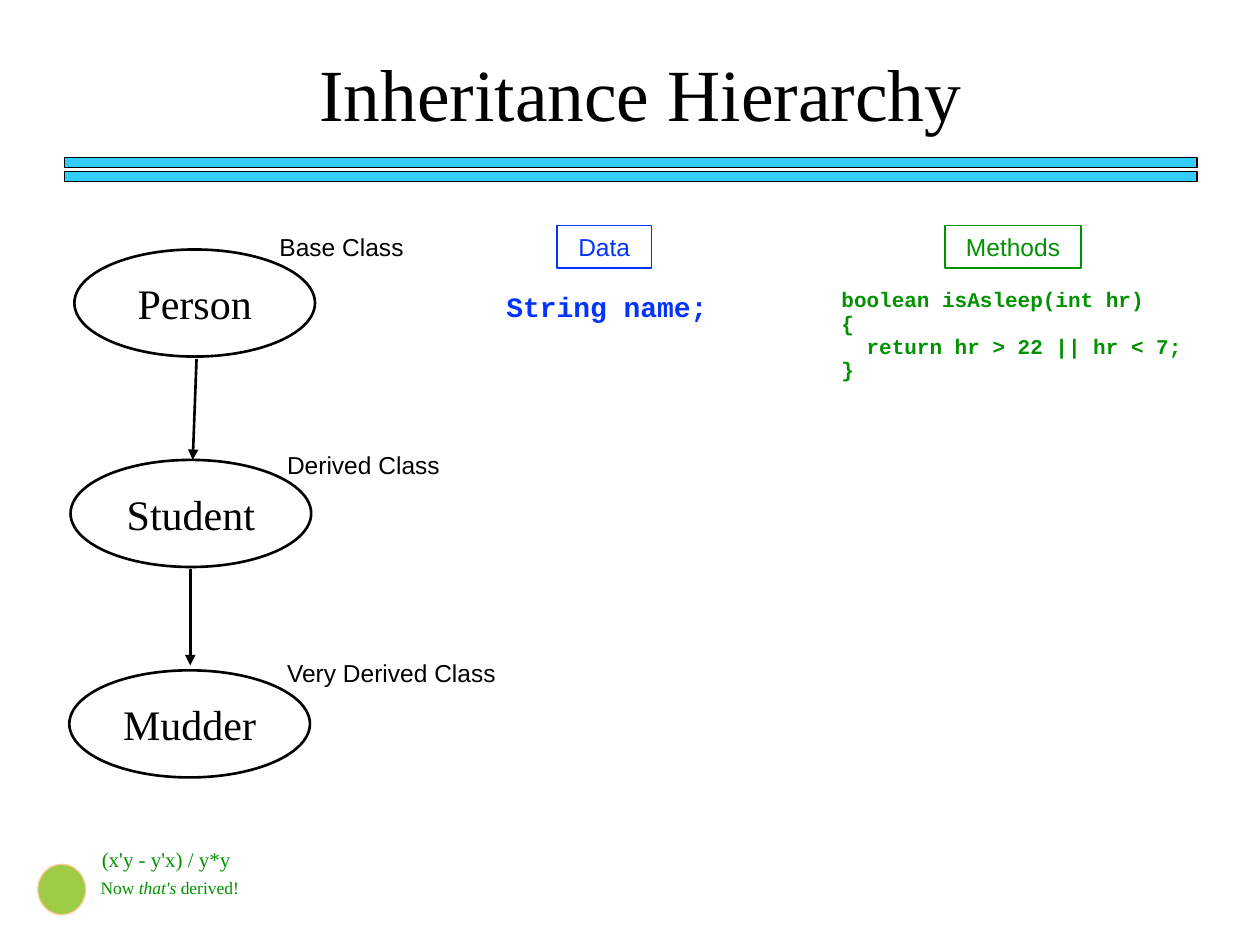
from dataclasses import dataclass

from lxml.etree import SubElement
from pptx import Presentation
from pptx.dml.color import RGBColor
from pptx.enum.shapes import MSO_CONNECTOR, MSO_SHAPE
from pptx.enum.text import MSO_ANCHOR, MSO_AUTO_SIZE, PP_ALIGN
from pptx.oxml.ns import qn
from pptx.util import Inches, Pt

BLACK, BLUE, GREEN, SKY, LIME = "000000", "0333FF", "009200", "33CCFF", "9ECC46"
SERIF, SANS, MONO = "Times New Roman", "Arial", "Courier New"


@dataclass
class Style:
    font: str
    size: float
    color: str = BLACK
    bold: bool = False
    center: bool = False
    pitch: float = 1
    gap: float = 0


@dataclass
class Level:
    name: str
    left: float
    role: str
    side: float
    top: float
    width: float


@dataclass
class Note:
    text: str
    box: tuple
    style: Style
    edge: bool = False


@dataclass
class Arrow:
    start: tuple
    end: tuple


NODE = Style(SERIF, 24, center=True)
ROLE = Style(SANS, 14)
CODE = Style(MONO, 12, GREEN, bold=True, pitch=0.4, gap=7.5)
BODY = "boolean isAsleep(int hr)\n{\n  return hr > 22 || hr < 7;\n}"

LEVELS = [
    Level("Person", 0.59, "Base Class", 2.12, 1.79, 1.94),
    Level("Student", 0.56, "Derived Class", 2.18, 3.52, 1.94),
    Level("Mudder", 0.55, "Very Derived Class", 2.18, 5.17, 2.32),
]
ARROWS = [
    Arrow((1.56, 2.85), (1.53, 3.65)),
    Arrow((1.51, 4.52), (1.51, 5.28)),
]
NOTES = [
    Note("Inheritance Hierarchy", (0.83, 0.33, 8.51, 0.8), Style(SERIF, 42, center=True)),
    Note("Data", (4.42, 1.79, 0.75, 0.34), Style(SANS, 14, BLUE, center=True), True),
    Note("Methods", (7.5, 1.79, 1.08, 0.34), Style(SANS, 14, GREEN, center=True), True),
    Note("String name;", (3.92, 2.25, 2.25, 0.37), Style(MONO, 16, BLUE, bold=True)),
    Note(BODY, (6.58, 2.33, 3.17, 0.74), CODE),
    Note("(x'y - y'x) / y*y", (0.71, 6.67, 1.83, 0.3), Style(SERIF, 12, GREEN)),
]


def tint(code: str) -> RGBColor:
    return RGBColor.from_string(code)


def write(frame, text: str, style: Style) -> None:
    for index, line in enumerate(text.split("\n")):
        para = frame.paragraphs[0] if index == 0 else frame.add_paragraph()
        if line:
            para.add_run().text = line
        para.alignment = PP_ALIGN.CENTER if style.center else PP_ALIGN.LEFT
        para.line_spacing = style.pitch
        para.space_before = Pt(style.gap if index else 0)
        para.font.name = style.font
        para.font.size = Pt(style.size)
        para.font.bold = style.bold
        para.font.color.rgb = tint(style.color)


def draw_shape(slide, kind, box: tuple, fill="", line=BLACK, width=0.75):
    shape = slide.shapes.add_shape(kind, *map(Inches, box))
    shape.shadow.inherit = False
    if fill:
        shape.fill.solid()
        shape.fill.fore_color.rgb = tint(fill)
    else:
        shape.fill.background()
    shape.line.color.rgb = tint(line)
    shape.line.width = Pt(width)
    return shape


def draw_note(slide, note: Note):
    if note.edge:
        shape = draw_shape(slide, MSO_SHAPE.RECTANGLE, note.box, line=note.style.color, width=1)
    else:
        shape = slide.shapes.add_textbox(*map(Inches, note.box))
    frame = shape.text_frame
    frame.word_wrap = True
    frame.auto_size = MSO_AUTO_SIZE.SHAPE_TO_FIT_TEXT
    frame.vertical_anchor = MSO_ANCHOR.TOP
    write(frame, note.text, note.style)
    return frame


def draw_level(slide, level: Level, top: float) -> None:
    box = (level.left, top, 1.91, 0.85)
    node = draw_shape(slide, MSO_SHAPE.OVAL, box, width=1.5)
    node.text_frame.word_wrap = False
    node.text_frame.vertical_anchor = MSO_ANCHOR.MIDDLE
    write(node.text_frame, level.name, NODE)
    draw_note(slide, Note(level.role, (level.side, level.top, level.width, 0.34), ROLE))


def draw_arrow(slide, arrow: Arrow) -> None:
    ends = map(Inches, arrow.start + arrow.end)
    link = slide.shapes.add_connector(MSO_CONNECTOR.STRAIGHT, *ends)
    link.line.color.rgb = tint(BLACK)
    link.line.width = Pt(1.5)
    SubElement(link.line._get_or_add_ln(), qn("a:tailEnd"), type="triangle")
    SubElement(link._element.spPr, qn("a:effectLst"))


def main() -> None:
    deck = Presentation()
    deck.slide_width, deck.slide_height = Inches(10), Inches(7.5)
    slide = deck.slides.add_slide(deck.slide_layouts[6])

    for top in (1.25, 1.36):
        draw_shape(slide, MSO_SHAPE.RECTANGLE, (0.51, top, 8.99, 0.08), SKY)
    for index, level in enumerate(LEVELS):
        draw_level(slide, level, 1.98 + 1.67 * index)
    for arrow in ARROWS:
        draw_arrow(slide, arrow)
    for note in NOTES:
        draw_note(slide, note)

    draw_shape(slide, MSO_SHAPE.OVAL, (0.3, 6.86, 0.38, 0.4), LIME, "FFCC99")
    joke = Note("Now ", (0.7, 6.91, 1.83, 0.27), Style(SERIF, 10, GREEN))
    para = draw_note(slide, joke).paragraphs[0]
    for text, slant in (("that's ", True), ("derived!", False)):
        run = para.add_run()
        run.text = text
        run.font.italic = slant

    deck.save("out.pptx")


if __name__ == "__main__":
    main()
